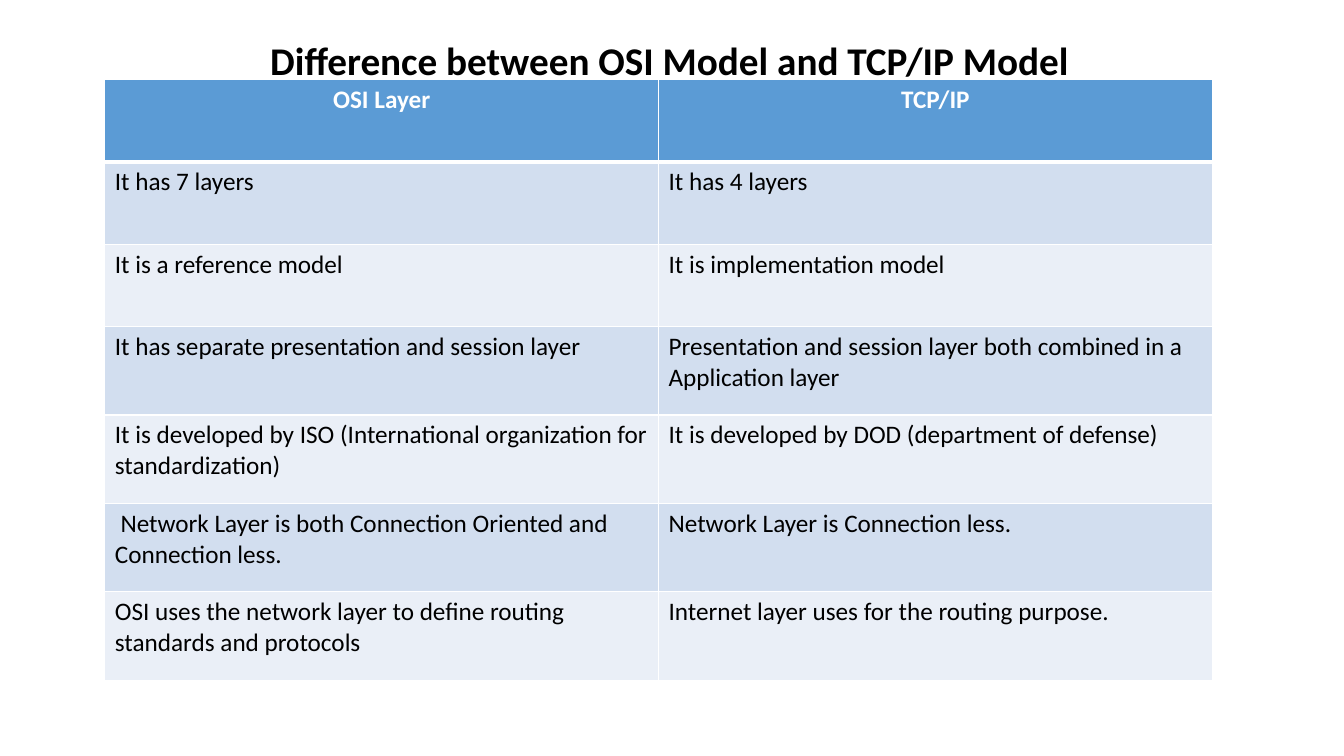
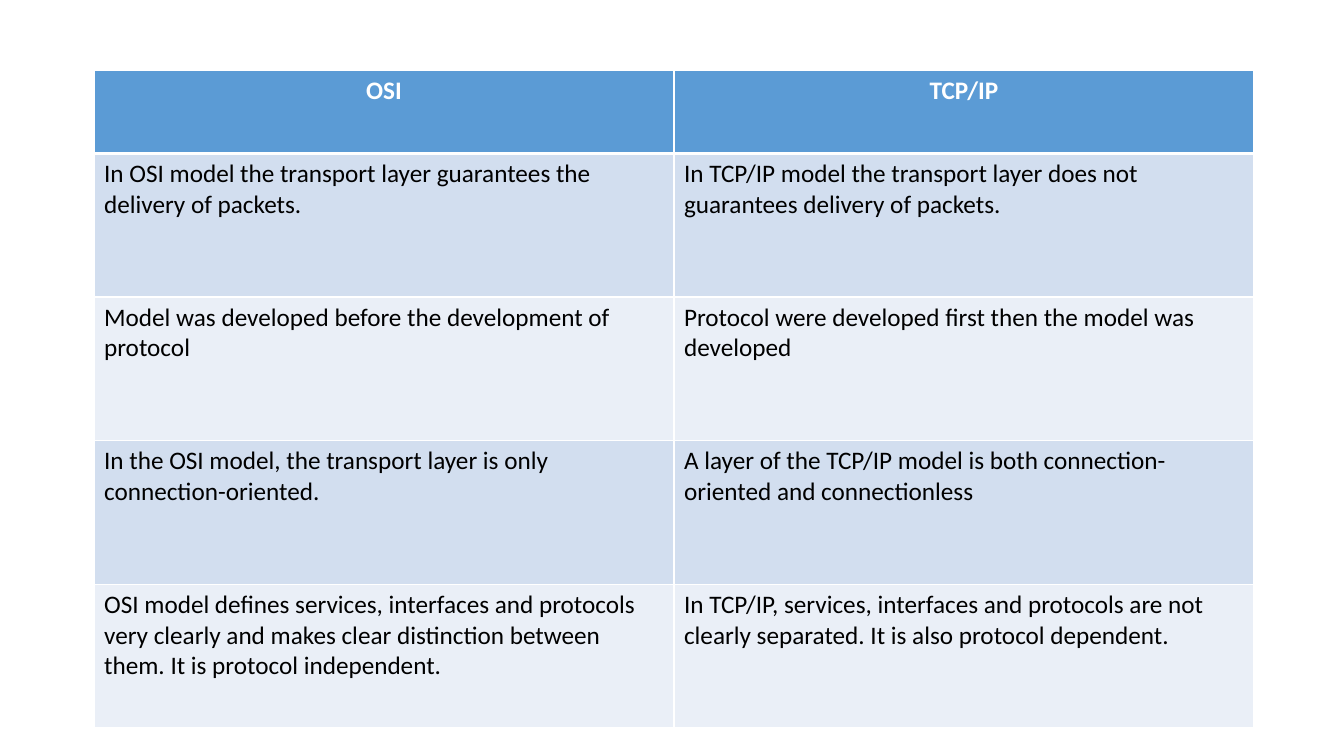
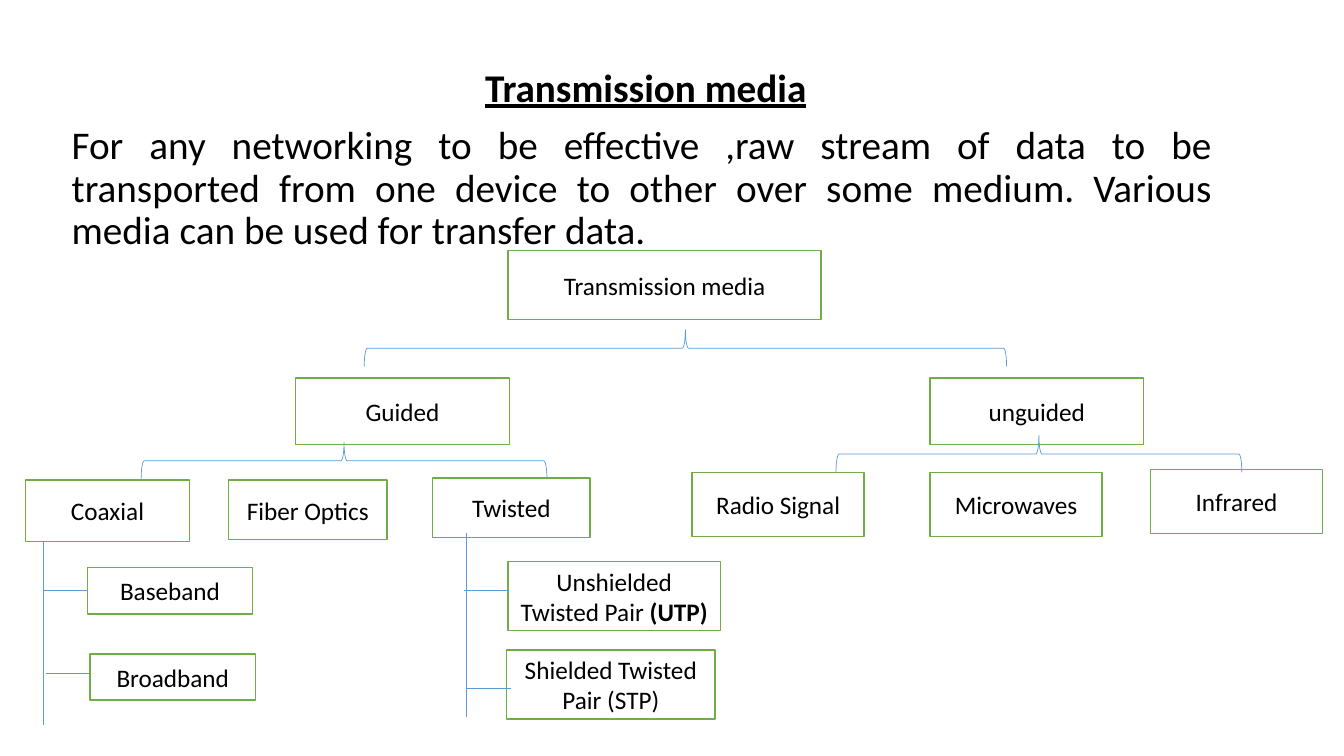
from lxml import etree
from pptx import Presentation
from pptx.dml.color import RGBColor
from pptx.enum.shapes import MSO_CONNECTOR, MSO_SHAPE
from pptx.enum.text import MSO_ANCHOR, MSO_AUTO_SIZE, PP_ALIGN
from pptx.oxml.ns import qn
from pptx.util import Inches, Pt

RECT, BRACE = MSO_SHAPE.RECTANGLE, MSO_SHAPE.RIGHT_BRACE
STRAIGHT = MSO_CONNECTOR.STRAIGHT
TOP, MIDDLE = MSO_ANCHOR.TOP, MSO_ANCHOR.MIDDLE
LEFT, CENTER, JUSTIFY = PP_ALIGN.LEFT, PP_ALIGN.CENTER, PP_ALIGN.JUSTIFY
FIXED = MSO_AUTO_SIZE.NONE
TITLE_ONLY, BLANK = 5, 6

WIDE, HIGH = Inches(13.33), Inches(7.5)
FONT = "Calibri"
COLORS = {
    "text": "000000",
    "white": "FFFFFF",
    "blue": "5B9BD5",
    "dark": "D2DEEF",
    "pale": "EAEFF7",
    "green": "70AD47",
}

LAYERS = [
    ("OSI Layer", "TCP/IP"),
    ("It has 7 layers", "It has 4 layers"),
    ("It is a reference model", "It is implementation model"),
    ("It has separate presentation and session layer",
     "Presentation and session layer both combined in a Application layer"),
    ("It is developed by ISO (International organization for standardization)",
     "It is developed by DOD (department of defense)"),
    (" Network Layer is both Connection Oriented and Connection less.",
     "Network Layer is Connection less."),
    ("OSI uses the network layer to define routing standards and protocols",
     "Internet layer uses for the routing purpose."),
]
MODELS = [
    ("OSI", "TCP/IP"),
    ("In OSI model the transport layer guarantees the delivery of packets.",
     "In TCP/IP model the transport layer does not guarantees delivery of packets."),
    ("Model was developed before the development of protocol",
     "Protocol were developed first then the model was developed"),
    ("In the OSI model, the transport layer is only connection-oriented.",
     "A layer of the TCP/IP model is both connection-oriented and connectionless"),
    ("OSI model defines services, interfaces and protocols very clearly and makes "
     "clear distinction between them. It is protocol independent.",
     "In TCP/IP, services, interfaces and protocols are not clearly separated. "
     "It is also protocol dependent."),
]
INTRO = ("For any networking to be effective ,raw stream of data to be transported "
         "from one device to other over some medium. Various media can be used for "
         "transfer data.")

# Boxes of the media tree: text, left, top, width, height in percent of the slide
MEDIA = [
    ("Transmission media", 37.8, 33.1, 23.3, 9.2),
    ("Guided", 22, 50, 15.9, 8.8),
    ("unguided", 69.2, 50, 15.9, 8.8),
    ("Coaxial", 1.9, 63.5, 12.2, 8.1),
    ("Fiber Optics", 17, 63.5, 11.8, 7.9),
    ("Twisted", 32.2, 63.2, 11.7, 7.9),
    ("Radio Signal", 51.5, 62.5, 12.8, 8.5),
    ("Microwaves", 69.2, 62.5, 12.8, 8.5),
    ("Infrared", 85.6, 62.1, 12.8, 8.5),
    ("Baseband", 6.5, 75.1, 12.3, 6.1),
    ("Broadband", 6.7, 86.5, 12.3, 6.1),
    ("Unshielded Twisted Pair ", 37.8, 74.3, 15.8, 9.1),
    ("Shielded Twisted Pair (STP)", 37.7, 86, 15.5, 9.1),
]
BOLD_END = {"Unshielded Twisted Pair ": "(UTP)"}
FORKS = [(51, 43.6, 47.8), (25.6, 58.5, 30.2), (77.3, 57.6, 30.2)]  # middle, top, span
TRUNKS = [(3.2, 71.6), (34.7, 70.5)]  # x, top
TWIGS = [(3.2, 78.1), (3.4, 89.1), (34.5, 78.1), (34.7, 91.1)]  # left, y
DEPTH, TRUNK, TWIG = 4.9, 24.3, 3.3


def rgb(name):
    return RGBColor.from_string(COLORS[name])


def across(share):
    return round(WIDE * share / 100)


def down(share):
    return round(HIGH * share / 100)


def area(x, y, w, h):
    return across(x), down(y), across(w), down(h)


def style(para, size, align, color="text", bold=False, line=False):
    para.alignment = align
    for run in para.runs:
        font = run.font
        font.name, font.size = FONT, Pt(size)
        font.bold, font.underline = bold, line
        font.color.rgb = rgb(color)


def fill_frame(frame, text, align, bold=False, line=False):
    """Set one 28 point paragraph at the top of a frame."""
    frame.text = text
    frame.word_wrap, frame.auto_size = True, FIXED
    frame.vertical_anchor = TOP
    para = frame.paragraphs[0]
    para.line_spacing = 0.9
    style(para, 28, align, bold=bold, line=line)


def add_title(slide, text, spot, line=False):
    title = slide.shapes.title
    title.left, title.top, title.width, title.height = area(*spot)
    fill_frame(title.text_frame, text, CENTER, True, line)


def add_edges(cell, widths):
    props = cell._tc.get_or_add_tcPr()
    for side, width in zip("LRTB", widths):
        edge = etree.SubElement(props, qn(f"a:ln{side}"), w=str(Pt(width)))
        solid = etree.SubElement(edge, qn("a:solidFill"))
        etree.SubElement(solid, qn("a:srgbClr"), val=COLORS["white"])


def add_grid(slide, rows, x, y, width, heights):
    spot = area(x, y, width, sum(heights))
    table = slide.shapes.add_table(len(rows), len(rows[0]), *spot).table
    for col in table.columns:
        col.width = across(width / len(rows[0]))
    for r, (texts, height) in enumerate(zip(rows, heights)):
        table.rows[r].height = down(height)
        head = r == 0
        back = "blue" if head else "dark" if r % 2 else "pale"
        for c, text in enumerate(texts):
            cell = table.cell(r, c)
            # The rule below the header is thicker
            add_edges(cell, (1, 1, 3 if r == 1 else 1, 3 if head else 1))
            cell.fill.solid()
            cell.fill.fore_color.rgb = rgb(back)
            cell.text = text
            style(cell.text_frame.paragraphs[0], 18, CENTER if head else LEFT,
                  "white" if head else "text", head)


def add_box(slide, text, *spot):
    box = slide.shapes.add_shape(RECT, *area(*spot))
    box.shadow.inherit = False
    box.fill.solid()
    box.fill.fore_color.rgb = rgb("white")
    box.line.color.rgb = rgb("green")
    box.line.width = Pt(1)
    frame = box.text_frame
    frame.text = text
    frame.word_wrap, frame.vertical_anchor = True, MIDDLE
    para = frame.paragraphs[0]
    end = BOLD_END.get(text)
    if end:
        para.add_run().text = end
    style(para, 18, CENTER)
    if end:
        para.runs[-1].font.bold = True


def thin(shape):
    shape.line.color.rgb = rgb("blue")
    shape.line.width = Pt(0.5)


def add_fork(slide, mid, top, span):
    """Draw a brace turned so that its tip points up."""
    deep, wide = down(DEPTH), across(span)
    left = across(mid) - deep // 2
    fork = slide.shapes.add_shape(
        BRACE, left, down(top) + (deep - wide) // 2, deep, wide)
    fork.rotation = 270
    fork.shadow.inherit = False
    fork.fill.background()
    thin(fork)


def add_line(slide, x, y, w=0, h=0):
    link = slide.shapes.add_connector(
        STRAIGHT, across(x), down(y), across(x + w), down(y + h))
    thin(link)
    etree.SubElement(link._element.spPr, qn("a:effectLst"))


def add_tree(slide):
    for item in MEDIA:
        add_box(slide, *item)
    for fork in FORKS:
        add_fork(slide, *fork)
    for x, y in TRUNKS:
        add_line(slide, x, y, h=TRUNK)
    for x, y in TWIGS:
        add_line(slide, x, y, w=TWIG)


def main():
    deck = Presentation()
    deck.slide_width, deck.slide_height = WIDE, HIGH
    kinds = deck.slide_layouts

    # Layer comparison
    slide = deck.slides.add_slide(kinds[TITLE_ONLY])
    add_title(slide, "Difference between OSI Model and TCP/IP Model",
              (3.2, 4.9, 93.2, 8))
    add_grid(slide, LAYERS, 7.8, 10.5, 82.4, [10.9] * 3 + [11.7] * 4)

    # Model comparison
    slide = deck.slides.add_slide(kinds[BLANK])
    add_grid(slide, MODELS, 7, 9.3, 86.3, [11] + [19] * 4)

    # Transmission media
    slide = deck.slides.add_slide(kinds[TITLE_ONLY])
    add_title(slide, "Transmission media", (4.9, 8.4, 86.3, 8), True)
    intro = slide.shapes.add_textbox(*area(4.6, 16, 86.3, 18))
    fill_frame(intro.text_frame, INTRO, JUSTIFY)
    add_tree(slide)

    deck.save("out.pptx")


if __name__ == "__main__":
    main()
